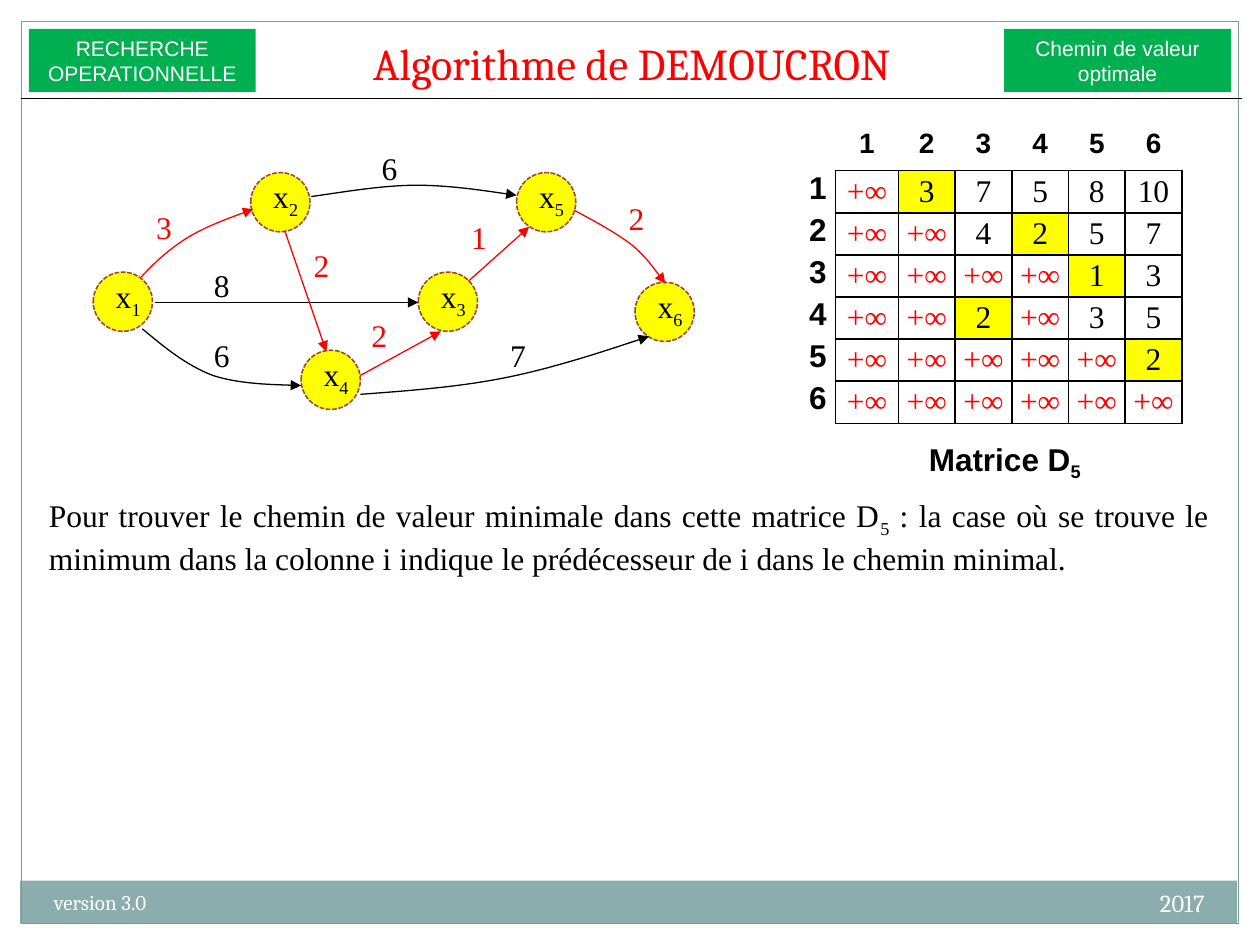
from itertools import pairwise

from lxml import etree
from pptx import Presentation
from pptx.dml.color import RGBColor
from pptx.enum.dml import MSO_LINE
from pptx.enum.shapes import MSO_CONNECTOR, MSO_SHAPE
from pptx.enum.text import MSO_ANCHOR, PP_ALIGN
from pptx.oxml.ns import qn
from pptx.util import Inches, Pt

RECT, OVAL, STRAIGHT = MSO_SHAPE.RECTANGLE, MSO_SHAPE.OVAL, MSO_CONNECTOR.STRAIGHT
LEFT, CENTER, RIGHT, JUSTIFY = (PP_ALIGN.LEFT, PP_ALIGN.CENTER,
                                PP_ALIGN.RIGHT, PP_ALIGN.JUSTIFY)
TOP, MIDDLE, BOTTOM = MSO_ANCHOR.TOP, MSO_ANCHOR.MIDDLE, MSO_ANCHOR.BOTTOM
NO_GRID_STYLE = "{2D5ABB26-0587-4C30-8999-92F81FD0307C}"


class Theme:
    black, white, red = "000000", "FFFFFF", "FF0000"
    green, yellow, brown = "00B050", "FFFF00", "9B4936"
    band, frame = "8CADAE", "7C999A"
    head_font, label_font, body_font = "Cambria", "Arial", "Times New Roman"
    title, body, header, year, small = 25.2, 18, 16, 14, 12


# Content: text between underscores is a subscript
TITLE = "Algorithme de DEMOUCRON"
TAGS = [(0.23, "RECHERCHE\nOPERATIONNELLE"), (7.97, "Chemin de valeur\noptimale")]
BODY = ("Pour trouver le chemin de valeur minimale dans cette matrice D_5_ : "
        "la case où se trouve le minimum dans la colonne i indique le "
        "prédécesseur de i dans le chemin minimal.")
CAPTION = "Matrice D_5_"
FOOTERS = [("version 3.0", 0.33, 7.01, 3.92, Theme.small, LEFT),
           ("2017", 6.33, 7, 3.33, Theme.year, RIGHT)]

MIN_PATH = list(pairwise([1, 2, 4, 3, 5, 6]))
NODES = {1: (0.74, 2.16), 2: (1.99, 1.37), 3: (3.32, 2.16),
         4: (2.39, 2.78), 5: (4.1, 1.37), 6: (5.04, 2.24)}
# (from, to): value, label position, points (two, or seven for a Bezier curve)
EDGES = {
    (1, 2): ("3", (1.14, 1.6), [(1.12, 2.2), (1.23, 2.08), (1.35, 1.97), (1.5, 1.88),
                                (1.65, 1.79), (2.01, 1.66), (2.01, 1.66)]),
    (1, 3): ("8", (1.6, 2.06), [(1.23, 2.4), (3.32, 2.4)]),
    (1, 4): ("6", (1.6, 2.62), [(1.13, 2.61), (1.31, 2.76), (1.48, 2.9), (1.69, 2.98),
                                (1.9, 3.05), (2.39, 3.06), (2.39, 3.06)]),
    (2, 4): ("2", (2.39, 1.9), [(2.26, 1.83), (2.59, 2.79)]),
    (2, 5): ("6", (2.93, 1.13), [(2.47, 1.56), (2.75, 1.52), (3.04, 1.47), (3.31, 1.47),
                                 (3.58, 1.47), (4.1, 1.55), (4.1, 1.55)]),
    (3, 5): ("1", (3.64, 1.68), [(3.72, 2.23), (4.2, 1.8)]),
    (4, 3): ("2", (2.85, 2.46), [(2.86, 2.98), (3.5, 2.63)]),
    (4, 6): ("7", (3.95, 2.62), [(2.86, 3.13), (3.27, 3.1), (3.67, 3.07), (4.05, 2.99),
                                 (4.44, 2.91), (5.15, 2.67), (5.15, 2.67)]),
    (5, 6): ("2", (4.89, 1.53), [(4.56, 1.67), (4.73, 1.76), (4.89, 1.85), (5.01, 1.94),
                                 (5.13, 2.04), (5.28, 2.25), (5.28, 2.25)]),
}
INF = "+∞"
MATRIX = [[INF, "3", "7", "5", "8", "10"],
          [INF, INF, "4", "2", "5", "7"],
          [INF, INF, INF, INF, "1", "3"],
          [INF, INF, "2", INF, "3", "5"],
          [INF, INF, INF, INF, INF, "2"],
          [INF] * 6]
COL_WIDTHS = [0.78, 0.5] + [0.45] * 5
ROW_HEIGHT = 2.34 / 7


# Helpers
def rgb(color):
    return RGBColor.from_string(color)


def write(tf, text, size=Theme.body, font=Theme.body_font, color=Theme.black,
          bold=False, align=LEFT, anchor=TOP):
    tf.word_wrap = True
    tf.vertical_anchor = anchor
    for n, line in enumerate(text.split("\n")):
        p = tf.add_paragraph() if n else tf.paragraphs[0]
        p.alignment = align
        for k, part in enumerate(line.split("_")):
            if not part:
                continue
            r = p.add_run()
            r.text = part
            r.font.size, r.font.name, r.font.bold = Pt(size), font, bold
            r.font.color.rgb = rgb(color)
            if k % 2:
                r._r.get_or_add_rPr().set("baseline", "-25000")


def add_text(slide, text, x, y, w, h, **fmt):
    sp = slide.shapes.add_textbox(*map(Inches, (x, y, w, h)))
    write(sp.text_frame, text, **fmt)


def add_box(slide, kind, x, y, w, h, fill=None, line=None, width=0.75):
    sp = slide.shapes.add_shape(kind, *map(Inches, (x, y, w, h)))
    sp.shadow.inherit = False
    if fill:
        sp.fill.solid()
        sp.fill.fore_color.rgb = rgb(fill)
    else:
        sp.fill.background()
    if line:
        sp.line.color.rgb = rgb(line)
        sp.line.width = Pt(width)
    else:
        sp.line.fill.background()
    return sp


def add_line(slide, points, color, arrow=False):
    pts = [(Inches(x), Inches(y)) for x, y in points]
    if len(pts) == 2:
        sp = slide.shapes.add_connector(STRAIGHT, *pts[0], *pts[1])
        etree.SubElement(sp._element.spPr, qn("a:effectLst"))
    else:
        builder = slide.shapes.build_freeform(*pts[0])
        builder.add_line_segments(pts[1:], close=False)
        sp = builder.convert_to_shape()
        sp.shadow.inherit = False
        sp.fill.background()
        # Every three segment ends become the points of one cubic curve
        segments = list(sp._element.iter(qn("a:lnTo")))
        for k in range(0, len(segments), 3):
            curve = etree.Element(qn("a:cubicBezTo"))
            segments[k].addprevious(curve)
            for seg in segments[k:k + 3]:
                curve.append(seg[0])
                seg.getparent().remove(seg)
    sp.line.color.rgb = rgb(color)
    sp.line.width = Pt(0.75)
    if arrow:
        etree.SubElement(sp.line._get_or_add_ln(), qn("a:tailEnd"), type="triangle")


def add_borders(cell):
    for side in ("lnL", "lnR", "lnT", "lnB"):
        ln = etree.SubElement(cell._tc.get_or_add_tcPr(), qn("a:" + side), w="12700")
        fill = etree.SubElement(ln, qn("a:solidFill"))
        etree.SubElement(fill, qn("a:srgbClr"), val=Theme.black)


def add_matrix(slide, x, y):
    n = len(MATRIX) + 1
    table = slide.shapes.add_table(n, n, Inches(x), Inches(y), Inches(sum(COL_WIDTHS)),
                                   Inches(n * ROW_HEIGHT)).table
    table.first_row = table.horz_banding = False
    table._tbl.tblPr.find(qn("a:tableStyleId")).text = NO_GRID_STYLE
    for col, width in zip(table.columns, COL_WIDTHS):
        col.width = Inches(width)
    for i, row in enumerate(table.rows):
        row.height = Inches(ROW_HEIGHT)
        for j, cell in enumerate(row.cells):
            cell.margin_top = cell.margin_bottom = 0
            cell.margin_left = cell.margin_right = Inches(0 if i and j else 0.07)
            if i and j:
                value = MATRIX[i - 1][j - 1]
                write(cell.text_frame, value, align=CENTER,
                      color=Theme.red if value == INF else Theme.black)
                cell.vertical_anchor = MIDDLE
                add_borders(cell)
            elif i or j:
                write(cell.text_frame, str(i or j), font=Theme.label_font, bold=True,
                      size=Theme.body if i else Theme.header,
                      align=RIGHT if i else CENTER)
            if (i, j) in MIN_PATH:
                cell.fill.solid()
                cell.fill.fore_color.rgb = rgb(Theme.yellow)
            else:
                cell.fill.background()


def main():
    prs = Presentation()
    prs.slide_width, prs.slide_height = Inches(10), Inches(7.5)
    slide = prs.slides.add_slide(prs.slide_layouts[5])

    # Frame, footer and header
    add_box(slide, RECT, 0.16, 6.99, 9.66, 0.34, fill=Theme.band)
    add_box(slide, RECT, 0.17, 0.17, 9.66, 7.16, line=Theme.frame)
    for text, x, y, w, size, align in FOOTERS:
        add_text(slide, text, x, y, w, 0.4, size=size, align=align,
                 font=Theme.head_font, color=Theme.white)
    title = slide.shapes.title
    title.left, title.top, title.width, title.height = map(Inches, (2.03, 0.23, 5.97, 0.53))
    write(title.text_frame, TITLE, size=Theme.title, font=Theme.head_font,
          color=Theme.red, align=CENTER, anchor=BOTTOM)
    for x, text in TAGS:
        sp = add_box(slide, RECT, x, 0.23, 1.8, 0.5, fill=Theme.green)
        write(sp.text_frame, text, size=Theme.small, font=Theme.label_font,
              color=Theme.white, align=CENTER, anchor=MIDDLE)
    add_line(slide, [(0.17, 0.78), (9.86, 0.78)], Theme.black)

    # Graph
    for n, (x, y) in NODES.items():
        sp = add_box(slide, OVAL, x, y, 0.47, 0.47, Theme.yellow, Theme.brown, 0.9)
        sp.line.dash_style = MSO_LINE.SQUARE_DOT
        add_text(slide, f"x_{n}_", x + 0.08, y - 0.01, 0.55, 0.4)
    for edge, (value, (x, y), points) in EDGES.items():
        color = Theme.red if edge in MIN_PATH else Theme.black
        add_line(slide, points, color, arrow=True)
        add_text(slide, value, x, y, 0.47, 0.4, color=color)

    # Matrix and explanation
    add_matrix(slide, 5.85, 1.02)
    add_text(slide, CAPTION, 6.61, 3.44, 2.73, 0.4, font=Theme.label_font,
             bold=True, align=CENTER)
    add_text(slide, BODY, 0.29, 3.89, 9.4, 0.71, align=JUSTIFY)
    prs.save("out.pptx")


if __name__ == "__main__":
    main()
